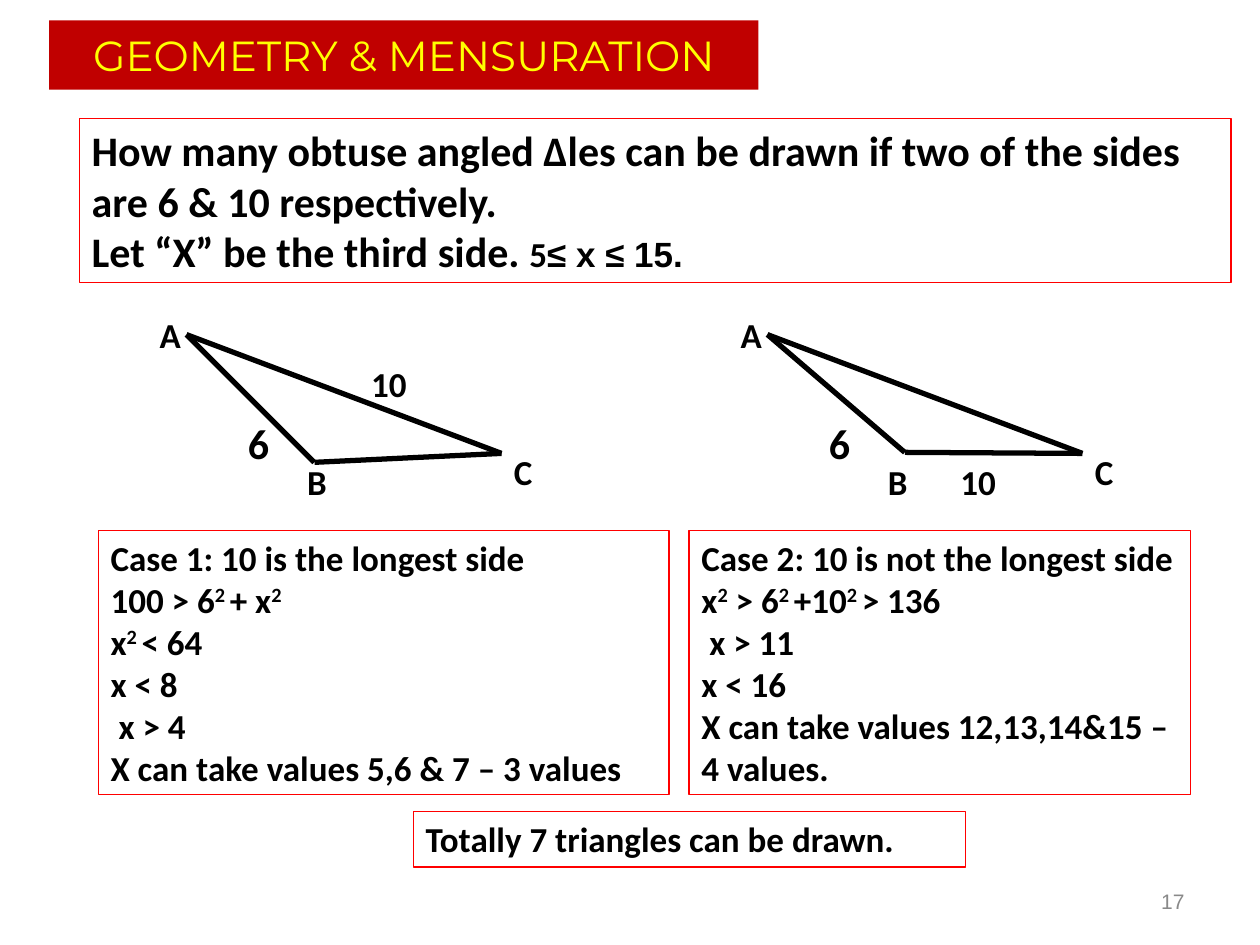
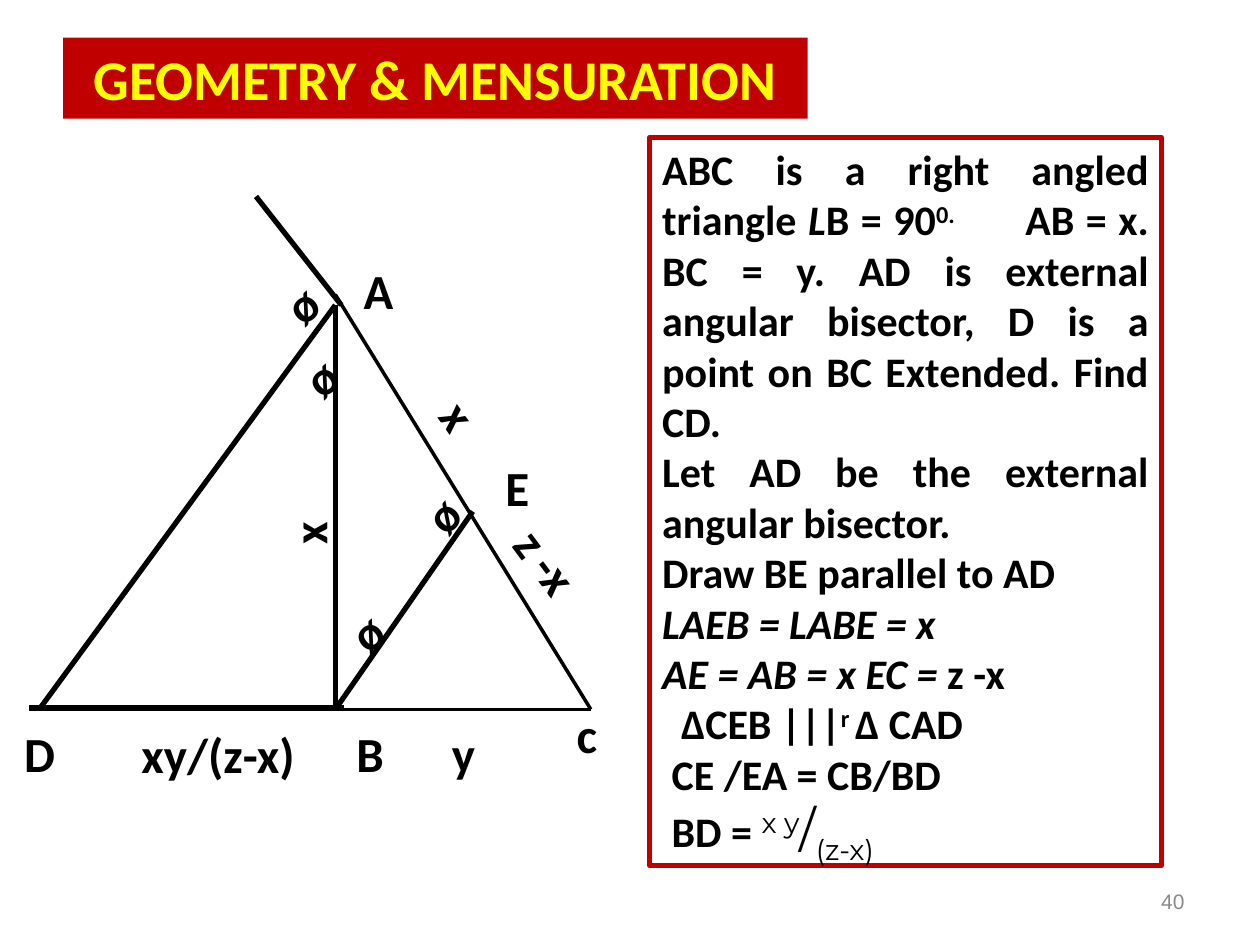
import dataclasses

import lxml.etree
import pptx
import pptx.dml.color
import pptx.enum.shapes
import pptx.enum.text
import pptx.oxml.ns
import pptx.util

Cm = pptx.util.Cm
Pt = pptx.util.Pt
ALIGN = pptx.enum.text.PP_ALIGN
ANCHOR = pptx.enum.text.MSO_ANCHOR


@dataclasses.dataclass(frozen=True)
class Theme:
    band: str = "C00000"
    title: str = "FFFF00"
    frame: str = "FF0000"
    ink: str = "000000"
    grey: str = "898989"
    body: str = "Calibri"
    plain: str = "Arial"
    light: str = "Montserrat"
    foot: int = 12
    small: int = 20
    text: int = 24
    large: int = 28
    head: int = 32
    thin: float = 0.75
    edge: int = 2
    thick: int = 3


THEME = Theme()
SUP = {"shift": 30}
ITALIC = {"italic": True}


def color(code):
    return pptx.dml.color.RGBColor.from_string(code)


def style(run, size, face=THEME.body, ink=THEME.ink, bold=True,
          italic=False, shift=0):
    """Format a run; shift raises or lowers it, in percent."""
    font = run.font
    font.size, font.name = Pt(size), face
    font.bold, font.italic = bold, italic
    font.color.rgb = color(ink)
    if shift:
        run._r.get_or_add_rPr().set("baseline", str(shift * 1000))


def title(slide, place, size, face, bold):
    shape = slide.shapes.title
    shape.left, shape.top, shape.width, shape.height = map(Cm, place)
    shape.fill.solid()
    shape.fill.fore_color.rgb = color(THEME.band)
    frame = shape.text_frame
    frame.auto_size = pptx.enum.text.MSO_AUTO_SIZE.NONE
    frame.vertical_anchor = ANCHOR.MIDDLE
    frame.text = "GEOMETRY & MENSURATION"
    para = frame.paragraphs[0]
    para.alignment = ALIGN.CENTER
    style(para.runs[0], size, face, THEME.title, bold)


def number(slide, text):
    shape = slide.shapes.add_textbox(Cm(18.21), Cm(17.65), Cm(5.92), Cm(1.02))
    frame = shape.text_frame
    frame.vertical_anchor = ANCHOR.MIDDLE
    frame.text = text
    para = frame.paragraphs[0]
    para.alignment = ALIGN.RIGHT
    style(para.runs[0], THEME.foot, THEME.plain, THEME.grey, False)


def box(slide, place, lines, size, edge=THEME.frame, width=THEME.thin):
    """Draw a framed text; a line is a list of strings or (string, style)."""
    shape = slide.shapes.add_shape(
        pptx.enum.shapes.MSO_SHAPE.RECTANGLE, *map(Cm, place))
    shape.shadow.inherit = False
    shape.fill.background()
    shape.line.color.rgb = color(edge)
    shape.line.width = Pt(width)
    frame = shape.text_frame
    frame.word_wrap = True
    frame.vertical_anchor = ANCHOR.TOP
    for index, line in enumerate(lines):
        para = frame.add_paragraph() if index else frame.paragraphs[0]
        para.alignment = ALIGN.LEFT
        for piece in line:
            text, look = (piece, {}) if isinstance(piece, str) else piece
            run = para.add_run()
            run.text = text
            style(run, **{"size": size, **look})
    return frame


def label(slide, text, left, top, width, height, size, angle=0):
    shape = slide.shapes.add_textbox(*map(Cm, (left, top, width, height)))
    shape.rotation = angle
    frame = shape.text_frame
    frame.word_wrap = False
    frame.vertical_anchor = ANCHOR.MIDDLE
    frame.text = text
    para = frame.paragraphs[0]
    para.alignment = ALIGN.CENTER
    style(para.runs[0], size)
    return shape


def line(slide, start, end, width=THEME.thick):
    edge = slide.shapes.add_connector(
        pptx.enum.shapes.MSO_CONNECTOR.STRAIGHT, *map(Cm, (*start, *end)))
    edge.line.color.rgb = color(THEME.ink)
    edge.line.width = Pt(width)
    lxml.etree.SubElement(edge._element.spPr, pptx.oxml.ns.qn("a:effectLst"))
    return edge


def indent(para, left):
    para._p.get_or_add_pPr().set("marL", str(Cm(left)))


def tab(para, stop):
    stops = lxml.etree.SubElement(
        para._p.get_or_add_pPr(), pptx.oxml.ns.qn("a:tabLst"))
    lxml.etree.SubElement(stops, pptx.oxml.ns.qn("a:tab"),
                          pos=str(Cm(stop)), algn="l")


def triangle(slide, left, corner, ten, joined):
    """Draw ABC; corner is B and ten the place of "10", both from left."""
    side = 0.79
    names = {
        name: label(slide, name, left + dx, top, side, side, THEME.small)
        for name, dx, top in (("A", 0, 6.35), ("B", 2.97, 9.32),
                              ("C", 7.14, 9.12))
    }
    label(slide, "6", left + 1.78, 8.53, side, side, THEME.text)
    label(slide, "10", left + ten[0], ten[1], 1.4, side, THEME.small)
    a = (left + side, 6.74)
    b = (left + corner[0], corner[1])
    c = (left + 7.14, 9.14)
    line(slide, b, c)
    short, long = line(slide, a, b), line(slide, a, c)
    for edge in (short, long):
        edge.begin_connect(names["A"], 3)
    if joined:
        short.end_connect(names["B"], 0)


def cases(slide):
    title(slide, (0.99, 0.41, 14.3, 1.4), THEME.text, THEME.light, False)
    number(slide, "17")
    box(slide, (1.6, 2.39, 23.22, 3.3), [
        ["How many obtuse angled ∆les can be drawn if two of the sides "
         "are 6 & 10 respectively."],
        ["Let “X” be the third side. ", ("5", {"size": THEME.small}),
         ("≤ x ≤ 15.", {"size": THEME.small, "face": THEME.plain})],
    ], THEME.text)
    triangle(slide, 2.97, (3.37, 9.32), (4.17, 7.34), True)
    triangle(slide, 14.68, (3.56, 9.12), (4.34, 9.32), False)
    top, height = 10.69, 5.33
    first = box(slide, (1.98, top, 11.51, height), [
        ["Case 1: 10 is the longest side"],
        ["100 > 6", ("2 ", SUP), "+ x", ("2", SUP)],
        ["x", ("2 ", SUP), "< 64"],
        ["x < 8"],
        ["x > 4"],
        ["X can take values 5,6 & 7 – 3 values"],
    ], THEME.small)
    second = box(slide, (13.89, top, 10.11, height), [
        ["Case 2: 10 is not the longest side"],
        ["x", ("2", SUP), " > 6", ("2 ", SUP), "+10", ("2 ", SUP), "> 136"],
        ["x > 11"],
        ["x < 16"],
        ["X can take values 12,13,14&15 – 4 values."],
    ], THEME.small)
    for para in (first.paragraphs[4], second.paragraphs[2]):
        indent(para, 0.16)
    box(slide, (8.33, 16.36, 11.13, 1.12),
        [["Totally 7 triangles can be drawn."]], THEME.small)


def figure(slide):
    """Draw triangle ABC with its external bisector AD and the parallel BE."""
    a, b, c = (6.76, 6.15), (6.76, 14.3), (11.91, 14.3)
    line(slide, (6.76, 5.94), c, THEME.edge)
    line(slide, c, b, THEME.edge)
    for start, end in ((a, b), ((5.16, 3.96), (6.88, 6.15)),
                       ((6.93, 14.27), (0.58, 14.27)),
                       (a, (0.79, 14.3)), ((9.53, 10.31), b)):
        line(slide, start, end)
    for name, left, top in (("A", 6.93, 5.36), ("B", 6.76, 14.68),
                            ("c", 11.13, 14.3), ("D", 0.1, 14.68),
                            ("E", 9.73, 9.32)):
        label(slide, name, left, top, 1.4, 0.99, THEME.large)
    for name, left, top, width, angle in (
            ("y", 8.86, 14.45, 0.97, 0), ("xy/(z-x)", 2.59, 14.48, 3.61, 0),
            ("z -x", 10.02, 10.59, 2.03, 53.4), ("x", 5.72, 10.03, 0.97, 270),
            ("x", 8.79, 7.65, 0.97, 54.9), ("ø", 5.56, 5.41, 1.04, 321.1),
            ("ø", 5.94, 6.88, 1.04, 321.1), ("ø", 6.86, 12.01, 1.04, 321.1),
            ("ø", 8.4, 9.65, 1.04, 312.5)):
        label(slide, name, left, top, width, 1.45, THEME.large, angle)


def proof(slide):
    title(slide, (1.27, 0.76, 15.01, 1.63), THEME.head, THEME.body, True)
    number(slide, "40")
    figure(slide)
    part = {"size": THEME.large, "face": THEME.light, "bold": False}
    frame = box(slide, (13.1, 2.77, 10.31, 14.68), [
        ["ABC is a right angled triangle ", ("L", ITALIC), "B = 90",
         ("0.", SUP), "\tAB = x. BC = y. AD is external angular bisector, "
         "D is a point on BC Extended. Find CD."],
        ["Let AD be the external angular bisector."],
        ["Draw BE parallel to AD"],
        [("LAEB = LABE = x", ITALIC)],
        [("AE = AB = x EC = ", ITALIC), "z -x"],
        ["∆CEB |||", ("r ", SUP), "∆ CAD"],
        ["CE /EA = CB/BD"],
        ["BD = ", ("x y", {**part, **SUP}), ("/", part),
         ("(z-x)", {**part, "shift": -25})],
    ], THEME.text, THEME.band, THEME.thick)
    paras = frame.paragraphs
    for para in paras[:2]:
        para.alignment = ALIGN.JUSTIFY
    tab(paras[0], 7.2)
    for para, left in zip(paras[5:], (0.38, 0.19, 0.19)):
        indent(para, left)


def main():
    deck = pptx.Presentation()
    deck.slide_width, deck.slide_height = Cm(25.4), Cm(19.05)
    for build in (cases, proof):
        build(deck.slides.add_slide(deck.slide_layouts[5]))
    deck.save("out.pptx")


if __name__ == "__main__":
    main()
